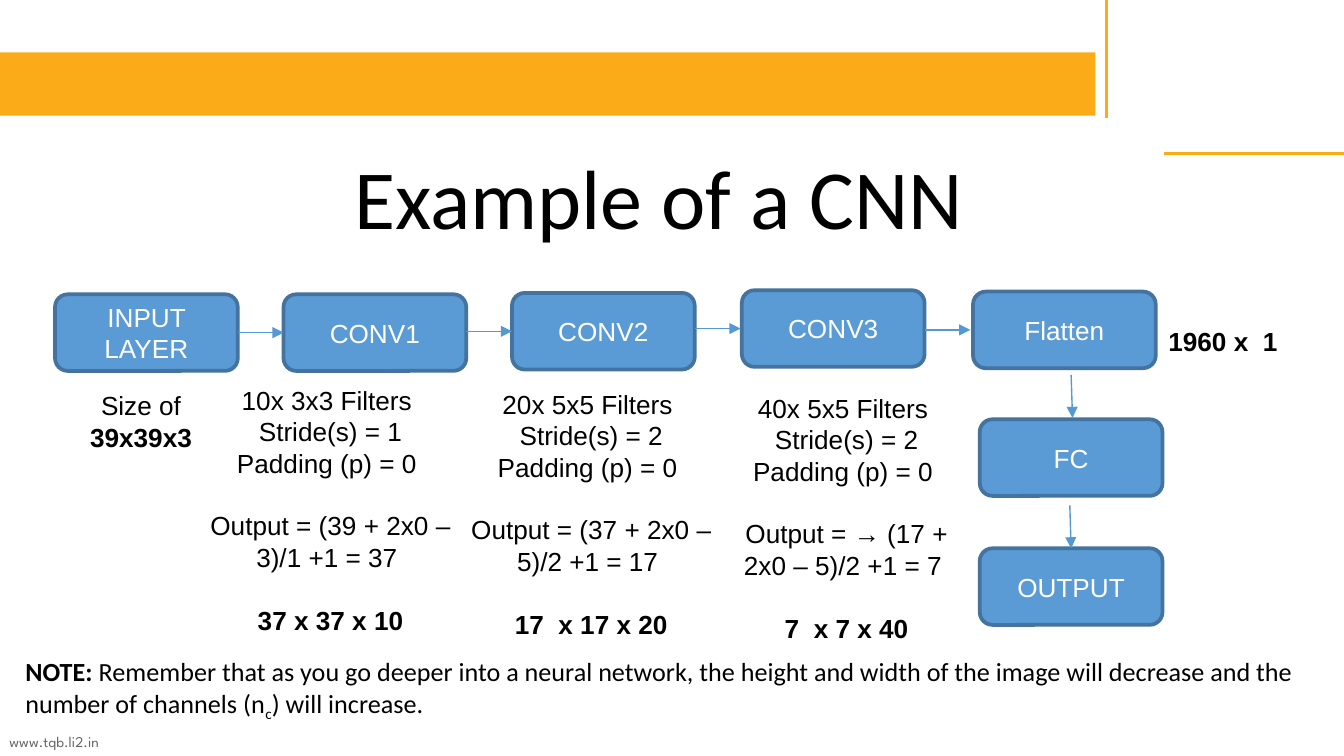
from lxml import etree
from pptx import Presentation
from pptx.dml.color import RGBColor
from pptx.enum import shapes, text
from pptx.oxml import ns
from pptx.util import Inches, Pt

GOLD = RGBColor(0xFB, 0xAB, 0x18)
BLUE = RGBColor(0x5B, 0x9B, 0xD5)
EDGE = RGBColor(0x43, 0x73, 0x9E)
ARROW = RGBColor(0x56, 0x98, 0xD3)
GREY = RGBColor(0x66, 0x66, 0x66)
BLACK = RGBColor(0, 0, 0)
WHITE = RGBColor(0xFF, 0xFF, 0xFF)

MID = text.PP_ALIGN.CENTER
LEFT = text.PP_ALIGN.LEFT
WIDE = 10  # slide width, at 16:9
BOX_W, BOX_H = 1.36, 0.57
LINE = 16.8  # height of one 14 pt line, in points

# Label, left, top
ROW = [
    ("INPUT LAYER", 0.41, 2.19),
    ("CONV1", 2.11, 2.19),
    ("CONV2", 3.81, 2.18),
    ("CONV3", 5.52, 2.16),
    ("Flatten", 7.24, 2.17),
]
STACK = [("FC", 7.29, 3.12), ("OUTPUT", 7.29, 4.08)]

# Left, top, filters, stride, output sum, output size
CONVS = [
    (1.43, 2.81, "10x 3x3", 1, "(39 + 2x0 – 3)/1 +1 = 37", "37 x 37 x 10"),
    (3.37, 2.84, "20x 5x5", 2, "(37 + 2x0 – 5)/2 +1 = 17", "17  x 17 x 20"),
    (5.27, 2.87, "40x 5x5", 2, "→ (17 + 2x0 – 5)/2 +1 = 7", "7  x 7 x 40"),
]


def style(item, form):
    for key, val in form.items():
        setattr(item, key, val)


def add_run(para, words, color=BLACK, face="Arial", size=14, bold=False):
    run = para.add_run()
    run.text = words
    style(run.font, {"name": face, "size": Pt(size), "bold": bold})
    run.font.color.rgb = color
    return run


def add_text(slide, left, top, wide, high, align=MID):
    box = slide.shapes.add_textbox(*map(Inches, (left, top, wide, high)))
    frame = box.text_frame
    style(frame, {"word_wrap": True,
                  "auto_size": text.MSO_AUTO_SIZE.SHAPE_TO_FIT_TEXT})
    frame.paragraphs[0].alignment = align
    return frame


def add_line(slide, start, end, color, width, arrow=False):
    line = slide.shapes.add_connector(
        shapes.MSO_CONNECTOR.STRAIGHT, *map(Inches, start + end))
    line.line.color.rgb = color
    line.line.width = Pt(width)
    if arrow:
        tail = etree.SubElement(line.line._get_or_add_ln(), ns.qn("a:tailEnd"))
        tail.set("type", "triangle")
    etree.SubElement(line._element.spPr, ns.qn("a:effectLst"))


def add_box(slide, label, left, top):
    box = slide.shapes.add_shape(
        shapes.MSO_SHAPE.FLOWCHART_ALTERNATE_PROCESS,
        *map(Inches, (left, top, BOX_W, BOX_H)))
    box.shadow.inherit = False
    box.fill.solid()
    box.fill.fore_color.rgb = BLUE
    box.line.color.rgb = EDGE
    box.line.width = Pt(2)
    frame = box.text_frame
    style(frame, {"word_wrap": True, "vertical_anchor": text.MSO_ANCHOR.MIDDLE})
    frame.paragraphs[0].alignment = MID
    add_run(frame.paragraphs[0], label, WHITE)


def add_conv(slide, left, top, kind, step, total, size):
    frame = add_text(slide, left, top, 2.06, 1.99)
    # Words, space before, bold
    lines = [
        (f"{kind} Filters ", 0, False),
        (f"Stride(s) = {step}", 0, False),
        ("Padding (p) = 0 ", 0, False),
        (f"Output = {total} ", LINE, False),
        (f" {size} ", LINE, True),
    ]
    for num, (words, gap, bold) in enumerate(lines):
        para = frame.add_paragraph() if num else frame.paragraphs[0]
        style(para, {"alignment": MID, "space_before": Pt(gap)})
        add_run(para, words, bold=bold)


def add_frame(slide):
    # Gold band, corner lines and web address
    add_line(slide, (8.23, 0), (8.23, 0.88), GOLD, 1.5)
    add_line(slide, (8.66, 1.14), (WIDE, 1.14), GOLD, 1.5)
    band = slide.shapes.add_shape(
        shapes.MSO_SHAPE.RECTANGLE, *map(Inches, (0, 0.39, 8.15, 0.47)))
    band.shadow.inherit = False
    band.fill.solid()
    band.fill.fore_color.rgb = GOLD
    band.line.fill.background()

    foot = add_text(slide, 0, 5.38, 2.38, 0.3, LEFT)
    pad = Inches(0.07)
    style(foot, {"auto_size": text.MSO_AUTO_SIZE.NONE,
                 "vertical_anchor": text.MSO_ANCHOR.MIDDLE,
                 "margin_left": pad, "margin_right": pad,
                 "margin_top": pad, "margin_bottom": pad})
    foot.paragraphs[0].line_spacing = 0.9
    add_run(foot.paragraphs[0], "www.tqb.li2.in", GREY, "League Spartan", 8)


def add_title(slide, words):
    title = slide.shapes.title
    style(title, {"left": Inches(1.15), "top": Inches(0.98),
                  "width": Inches(7.5), "height": Inches(0.9)})
    frame = title.text_frame
    style(frame, {"word_wrap": True, "auto_size": text.MSO_AUTO_SIZE.NONE,
                  "vertical_anchor": text.MSO_ANCHOR.BOTTOM,
                  "margin_left": Inches(0.07), "margin_right": Inches(0.07),
                  "margin_top": Inches(0.04), "margin_bottom": Inches(0.04)})
    para = frame.paragraphs[0]
    style(para, {"alignment": MID, "line_spacing": 0.9})
    add_run(para, words, face="Calibri", size=45)


def add_note(slide):
    para = add_text(slide, 0.09, 4.83, 9.91, 0.57, LEFT).paragraphs[0]
    add_run(para, "NOTE: ", face="Calibri", bold=True)
    add_run(para, "Remember that as you go deeper into a neural network, "
            "the height and width of the image will decrease and the "
            "number of channels (n", face="Calibri")
    sub = add_run(para, "c", face="Calibri")
    sub.font._element.set("baseline", "-25000")
    add_run(para, ") will increase.", face="Calibri")


def main():
    deck = Presentation()
    deck.slide_width, deck.slide_height = Inches(WIDE), Inches(WIDE * 9 / 16)
    slide = deck.slides.add_slide(deck.slide_layouts[0])
    spare = slide.placeholders[1]._element
    spare.getparent().remove(spare)

    add_frame(slide)
    add_title(slide, "Example of a CNN")

    # Layers
    for label, left, top in ROW + STACK:
        add_box(slide, label, left, top)

    # Sizes at both ends of the row
    para = add_text(slide, 0.37, 2.85, BOX_W, 0.57).paragraphs[0]
    add_run(para, "Size of ")
    add_run(para, "39x39x3", bold=True)
    para = add_text(slide, 8.42, 2.37, BOX_W, 0.34).paragraphs[0]
    add_run(para, "1960 x  1", bold=True)

    # Details under each convolution
    for conv in CONVS:
        add_conv(slide, *conv)

    # Arrows along the row, then down the stack
    for (_, left, _), (_, right, top) in zip(ROW, ROW[1:]):
        start, level = left + BOX_W, top + BOX_H / 2
        end = min(right, start + 0.34)
        add_line(slide, (start, level), (end, level), ARROW, 0.75, True)
    for left, top in [(7.97, 2.79), (7.96, 3.76)]:
        add_line(slide, (left, top), (left + 0.01, top + 0.32), ARROW, 0.75, True)

    add_note(slide)
    deck.save("out.pptx")


if __name__ == "__main__":
    main()
